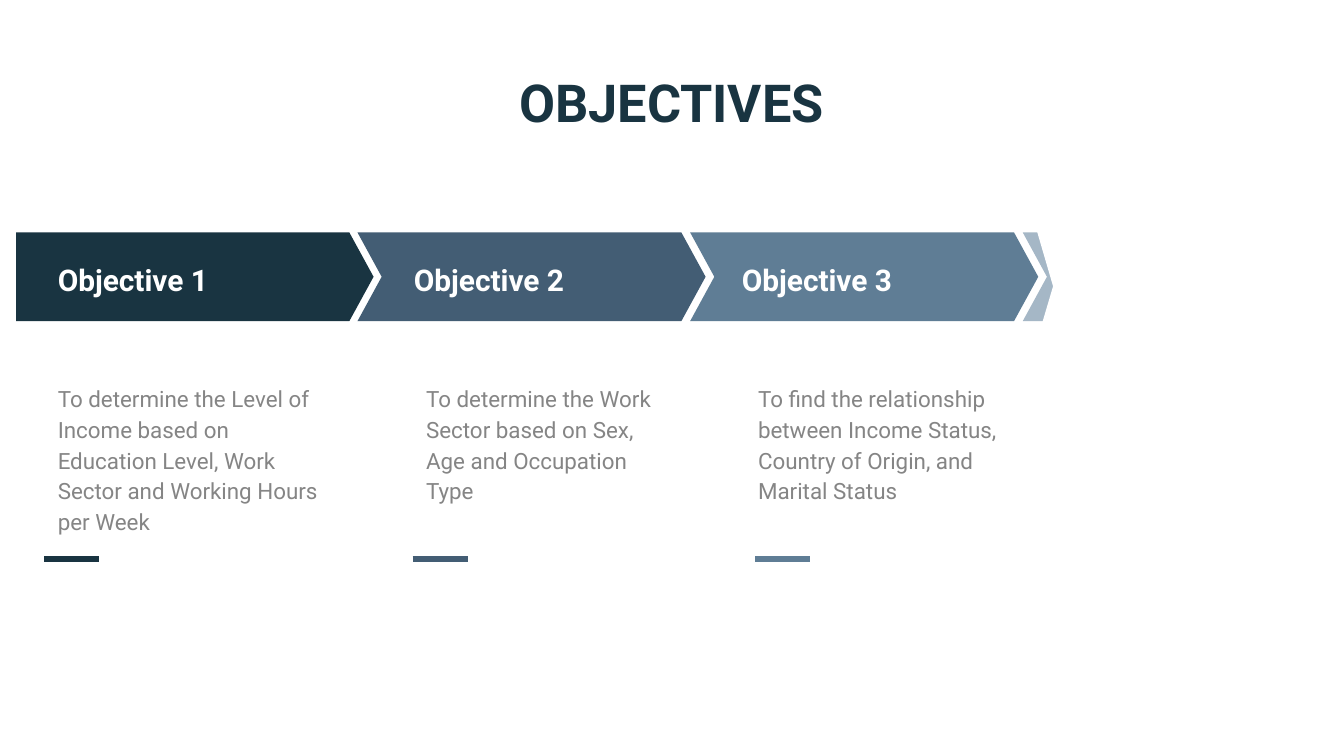
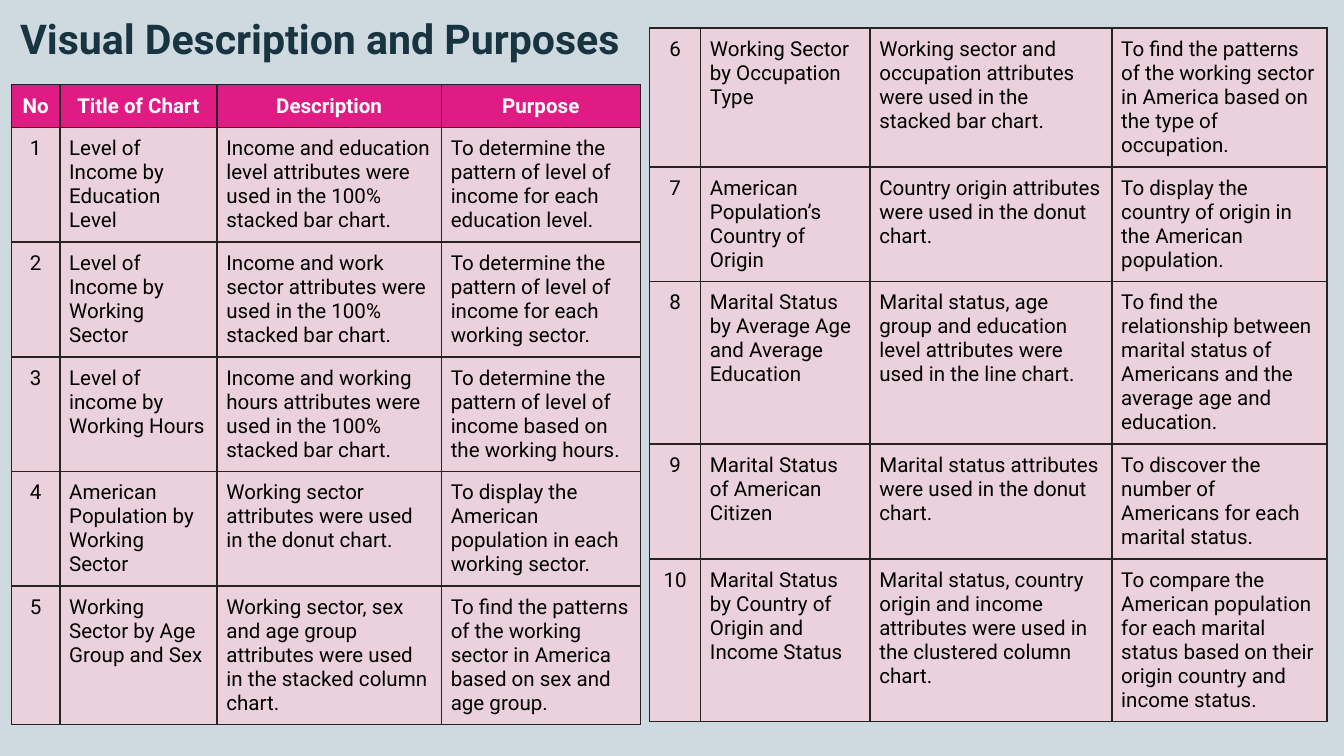
from copy import deepcopy
from dataclasses import dataclass

from lxml import etree
from pptx import Presentation
from pptx.dml.color import RGBColor
from pptx.enum.shapes import MSO_CONNECTOR as Connector, MSO_SHAPE as Shape
from pptx.enum.text import MSO_ANCHOR as Anchor, MSO_AUTO_SIZE as AutoSize, PP_ALIGN as Align
from pptx.oxml.ns import qn
from pptx.util import Inches, Pt

NAVY = RGBColor(0x19, 0x34, 0x41)
SLATE = RGBColor(0x43, 0x5D, 0x74)
STEEL = RGBColor(0x5F, 0x7D, 0x95)
MIST = RGBColor(0xA5, 0xB7, 0xC6)
PALE = RGBColor(0xCF, 0xD9, 0xE0)
GRAY = RGBColor(0x85, 0x85, 0x85)
WHITE = RGBColor(0xFF, 0xFF, 0xFF)
BLACK = RGBColor(0x00, 0x00, 0x00)
INK = RGBColor(0x25, 0x24, 0x23)
PINK = RGBColor(0xE0, 0x1B, 0x84)
BLUSH = RGBColor(0xEA, 0xD1, 0xDC)

FONT = "Roboto"
SLIDE_WIDTH = Inches(10)
SLIDE_HEIGHT = SLIDE_WIDTH * 9 // 16
COLUMN = ROW = SLIDE_WIDTH / 100
TEXT_INSET = Inches(0.1)
CELL_INSET = Inches(0.07)

OBJECTIVES = [
    ("Objective 1", "To determine the Level of Income based on Education Level, "
     "Work Sector and Working Hours per Week", NAVY),
    ("Objective 2", "To determine the Work Sector based on Sex, Age and Occupation Type", SLATE),
    ("Objective 3", "To find the relationship between Income Status, Country of Origin, "
     "and Marital Status", STEEL),
]
LABEL_LEFTS = (3.3, 29.8, 54.2)
DETAIL_LEFTS = (3.3, 30.7, 55.4)
DETAIL_WIDTHS = (21.6, 19.8, 19.8)
RULE_LEFTS = (3.3, 30.7, 56.2)

HEADER = ("No", "Title of Chart", "Description", "Purpose")
CHARTS = [
    ("1", "Level of Income by Education Level",
     "Income and education level attributes were used in the 100% stacked bar chart.",
     "To determine the pattern of level of income for each education level."),
    ("2", "Level of Income by Working Sector",
     "Income and work sector attributes were used in the 100% stacked bar chart.",
     "To determine the pattern of level of income for each working sector."),
    ("3", "Level of income by Working Hours",
     "Income and working hours attributes were used in the 100% stacked bar chart.",
     "To determine the pattern of level of income based on the working hours."),
    ("4", "American Population by Working Sector",
     "Working sector attributes were used in the donut chart.",
     "To display the American population in each working sector."),
    ("5", "Working Sector by Age Group and Sex",
     "Working sector, sex and age group attributes were used in the stacked column chart.",
     "To find the patterns of the working sector in America based on sex and age group."),
    ("6", "Working Sector by Occupation Type",
     "Working sector and occupation attributes were used in the stacked bar chart.",
     "To find the patterns of the working sector in America based on the type of occupation."),
    ("7", "American Population’s Country of Origin",
     "Country origin attributes were used in the donut chart.",
     "To display the country of origin in the American population."),
    ("8", "Marital Status by Average Age and Average Education",
     "Marital status, age group and education level attributes were used in the line chart.",
     "To find the relationship between marital status of Americans and the average age "
     "and education."),
    ("9", "Marital Status of American Citizen",
     "Marital status attributes were used in the donut chart.",
     "To discover the number of Americans for each marital status."),
    ("10", "Marital Status by Country of Origin and Income Status",
     "Marital status, country origin and income attributes were used in the clustered "
     "column chart.",
     "To compare the American population for each marital status based on their origin "
     "country and income status."),
]


@dataclass
class Box:
    """A rectangle in grid columns and rows."""
    left: float
    top: float
    width: float
    height: float

    def emu(self):
        """Return left, top, width and height in slide units."""
        return (round(self.left * COLUMN), round(self.top * ROW),
                round(self.width * COLUMN), round(self.height * ROW))


def set_background(slide, color):
    """Fill the slide background with one colour."""
    slide.background.fill.solid()
    slide.background.fill.fore_color.rgb = color


def format_text(text_frame, size, color, bold=False, align=Align.LEFT, spacing=1.0):
    """Format every paragraph and run of a text frame."""
    for paragraph in text_frame.paragraphs:
        paragraph.alignment = align
        paragraph.line_spacing = spacing
        paragraph.space_before = Pt(0)
        for run in paragraph.runs:
            run.font.name = FONT
            run.font.size = Pt(size)
            run.font.bold = bold
            run.font.color.rgb = color


def fill_placeholder(shape, box, text, size, color, **style):
    """Move a placeholder into its box and write formatted text."""
    shape.left, shape.top, shape.width, shape.height = box.emu()
    text_frame = shape.text_frame
    text_frame.text = text
    text_frame.word_wrap = True
    text_frame.auto_size = AutoSize.NONE
    text_frame.vertical_anchor = Anchor.TOP
    text_frame.margin_left = text_frame.margin_right = TEXT_INSET
    text_frame.margin_top = text_frame.margin_bottom = TEXT_INSET
    format_text(text_frame, size, color, **style)


def add_title(slide, box, text, size):
    """Write the slide title in the shared title style."""
    fill_placeholder(slide.shapes.title, box, text, size, NAVY, bold=True, align=Align.CENTER)


def add_body(slide, pattern, box, text, size, color, **style):
    """Append a body placeholder made from the pattern element."""
    element = deepcopy(pattern)
    shape_id = max(shape.shape_id for shape in slide.shapes) + 1
    element.nvSpPr.cNvPr.set("id", str(shape_id))
    element.nvSpPr.cNvPr.set("name", f"Text Placeholder {shape_id}")
    slide.shapes._spTree.append(element)
    fill_placeholder(slide.shapes[-1], box, text, size, color, spacing=1.14, **style)


def add_arrow(slide, box, color, notched=True):
    """Draw a pointed band, with or without a notch at its tail."""
    left, top, width, height = box.emu()
    tip = round(1.8 * COLUMN)
    middle, bottom, right = top + height // 2, top + height, left + width
    points = [(left, bottom), (right - tip, bottom), (right, middle), (right - tip, top)]
    if notched:
        points.insert(0, (left + tip, middle))
    builder = slide.shapes.build_freeform(left, top)
    builder.add_line_segments(points, close=True)
    arrow = builder.convert_to_shape()
    arrow.shadow.inherit = False
    arrow.fill.solid()
    arrow.fill.fore_color.rgb = color
    arrow.line.fill.background()


def add_arrow_band(slide, box):
    """Draw the chain of arrows from the tail to the first step."""
    step = 24.75
    for index, color in reversed(list(enumerate((SLATE, STEEL, MIST)))):
        left = box.left + 25.4 + index * step
        add_arrow(slide, Box(left, box.top, 25.9, box.height), color)
    add_arrow(slide, Box(box.left, box.top, 26.6, box.height), NAVY, notched=False)


def add_rule(slide, box, color):
    """Draw a short thick line across the top of the box."""
    left, top, width, _ = box.emu()
    rule = slide.shapes.add_connector(Connector.STRAIGHT, left, top, left + width, top)
    rule.line.color.rgb = color
    rule.line.width = Pt(3)
    etree.SubElement(rule._element.spPr, qn("a:effectLst"))


def add_cover(slide, box, rotation):
    """Cover the end of the arrow band with a tilted white block."""
    cover = slide.shapes.add_shape(Shape.FLOWCHART_PROCESS, *box.emu())
    cover.rotation = rotation
    cover.shadow.inherit = False
    cover.fill.solid()
    cover.fill.fore_color.rgb = WHITE
    cover.line.color.rgb = WHITE
    cover.line.width = Pt(0.75)


def set_borders(cell):
    """Give a cell thin dark borders on all four sides."""
    properties = cell._tc.get_or_add_tcPr()
    for index, side in enumerate(("lnL", "lnR", "lnT", "lnB")):
        line = etree.Element(qn(f"a:{side}"), w=str(Pt(1)))
        fill = etree.SubElement(line, qn("a:solidFill"))
        etree.SubElement(fill, qn("a:srgbClr"), val=str(INK))
        properties.insert(index, line)


def format_cell(cell, text, is_header, is_number):
    """Write one cell in the header or body style."""
    cell.text_frame.text = text
    cell.margin_left = cell.margin_right = CELL_INSET
    cell.margin_top = cell.margin_bottom = CELL_INSET
    cell.fill.solid()
    cell.fill.fore_color.rgb = PINK if is_header else BLUSH
    set_borders(cell)
    format_text(cell.text_frame, 11, WHITE if is_header else BLACK, bold=is_header,
                align=Align.CENTER if is_header or is_number else Align.LEFT)


def add_chart_table(slide, left, top, widths, heights, rows):
    """Build a table of chart descriptions at the given grid point."""
    box = Box(left, top, sum(widths), sum(heights))
    table = slide.shapes.add_table(len(rows), len(widths), *box.emu()).table
    table.first_row = rows[0] == HEADER
    table.horz_banding = False
    for column, width in zip(table.columns, widths):
        column.width = round(width * COLUMN)
    for row, height, texts in zip(table.rows, heights, rows):
        row.height = round(height * ROW)
        for index, (cell, text) in enumerate(zip(row.cells, texts)):
            format_cell(cell, text, texts == HEADER, index == 0)


def build_objectives(presentation):
    """Build the slide with the three objectives."""
    slide = presentation.slides.add_slide(presentation.slide_layouts.get_by_name("Section Header"))
    set_background(slide, WHITE)
    add_title(slide, Box(8.7, 4.2, 82.5, 6.3), "OBJECTIVES", 28)
    pattern = slide.placeholders[1]._element
    slide.shapes._spTree.remove(pattern)
    add_arrow_band(slide, Box(1.2, 17.3, 100.8, 6.6))
    for index, (label, detail, color) in enumerate(OBJECTIVES):
        add_body(slide, pattern, Box(LABEL_LEFTS[index], 18.1, 15, 4.9), label, 16, WHITE, bold=True)
        add_body(slide, pattern, Box(DETAIL_LEFTS[index], 27.4, DETAIL_WIDTHS[index], 14.8),
                 detail, 12, GRAY)
        add_rule(slide, Box(RULE_LEFTS[index], 41.6, 4.1, 0), color)
    add_cover(slide, Box(78, 10.3, 27.4, 15.3), 343.7)
    add_cover(slide, Box(78.7, 14.4, 27.5, 15.8), 16.5)


def build_descriptions(presentation):
    """Build the slide with the two description tables."""
    slide = presentation.slides.add_slide(presentation.slide_layouts.get_by_name("Title Only"))
    set_background(slide, PALE)
    add_title(slide, Box(0, 0, 47.6, 6.3), "Visual Description and Purposes", 22)
    slide.shapes.title.fill.solid()
    slide.shapes.title.fill.fore_color.rgb = PALE
    add_chart_table(slide, 0.85, 6.3, (3.6, 11.7, 16.7, 14.8), [3] + [8.1] * 5,
                    [HEADER] + CHARTS[:5])
    add_chart_table(slide, 48.33, 2.1, (3.8, 12.6, 18, 16), (8.1, 6.7, 11, 6.7, 11), CHARTS[5:])


def main():
    """Create and save the presentation."""
    presentation = Presentation()
    presentation.slide_width, presentation.slide_height = SLIDE_WIDTH, SLIDE_HEIGHT
    build_objectives(presentation)
    build_descriptions(presentation)
    presentation.save("out.pptx")


if __name__ == "__main__":
    main()
